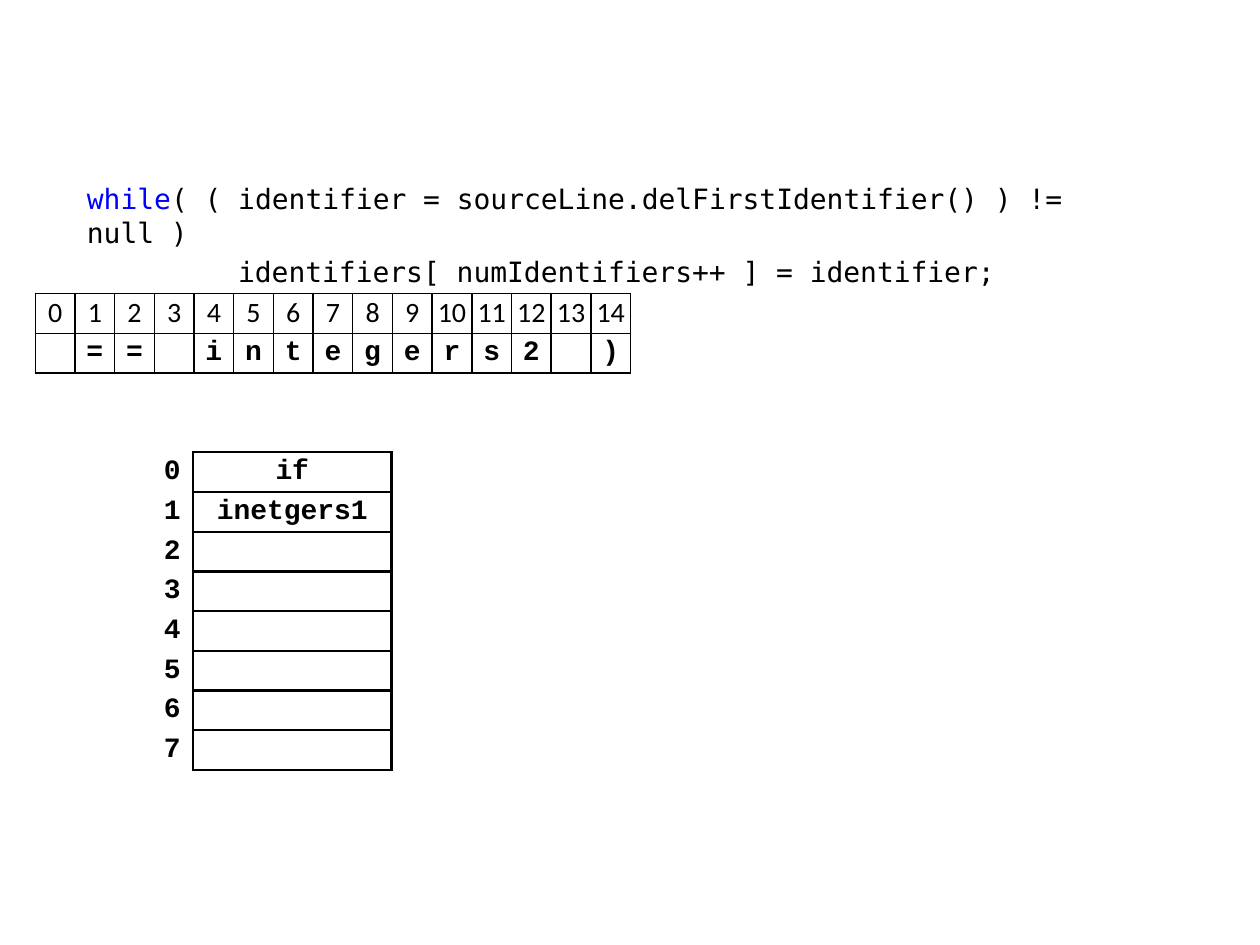
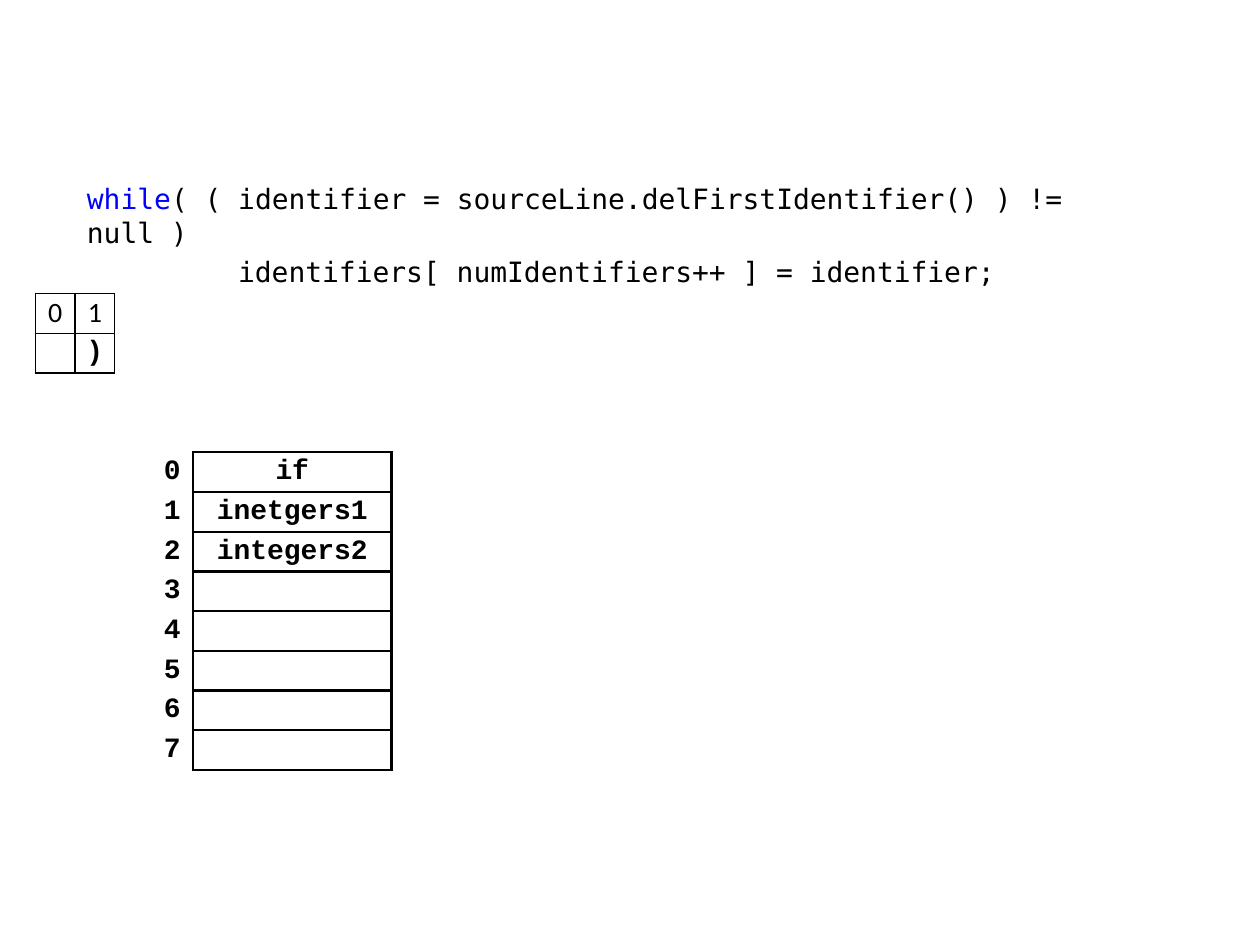
import pptx
import pptx.util
import pptx.dml.color
import pptx.enum.text
import pptx.oxml
import lxml.etree

Inches = pptx.util.Inches
Pt = pptx.util.Pt
RGBColor = pptx.dml.color.RGBColor
Align = pptx.enum.text.PP_ALIGN
Anchor = pptx.enum.text.MSO_ANCHOR

# Shared colours, fonts and grid
BLACK = RGBColor(0x00, 0x00, 0x00)
WHITE = RGBColor(0xFF, 0xFF, 0xFF)
KEYWORD = RGBColor(0x00, 0x00, 0xFF)
CODE_FORMAT = {"name": "DejaVu Sans Mono", "size": Pt(16), "bold": False}
INDEX_FORMAT = {"name": "Calibri", "size": Pt(16), "bold": False}
VALUE_FORMAT = {"name": "Courier New", "size": Pt(16), "bold": True}
UNIT = Inches(0.63) // 2  # side of one character cell
NO_STYLE = "{2D5ABB26-0587-4C30-8999-92F81FD0307C}"
DRAWING = "{http://schemas.openxmlformats.org/drawingml/2006/main}"

CODE_BOX = (Inches(0.59), Inches(1.39), Inches(8.82), Inches(0.63))
LINE_ORIGIN = (Inches(0.28), Inches(2.33))
LIST_ORIGIN = (Inches(1.06), Inches(3.59))
LIST_ROWS = 8

CODE_LINES = [
    (0, [("while", KEYWORD),
         ("( ( identifier = sourceLine.delFirstIdentifier() ) != null )", BLACK)]),
    (Inches(1.2), [("identifiers[ numIdentifiers++ ] = identifier;", BLACK)]),
]

# Remaining source characters and identifiers found so far, per slide
STEPS = [
    (" ==" + " integers2" + " )", ["if", "inetgers1"]),
    (" )", ["if", "inetgers1", "integers2"]),
]


def add_run(paragraph, text, formats, color=BLACK):
    run = paragraph.add_run()
    run.text = text
    for name, value in formats.items():
        setattr(run.font, name, value)
    run.font.color.rgb = color


def set_borders(cell, sides, width):
    """Draw black lines on the given sides (L, R, T, B, in that order)."""
    properties = cell._tc.get_or_add_tcPr()
    for side in sides:
        line = lxml.etree.SubElement(properties, DRAWING + "ln" + side, w=str(Pt(width)))
        fill = lxml.etree.SubElement(line, DRAWING + "solidFill")
        lxml.etree.SubElement(fill, DRAWING + "srgbClr", val=str(BLACK))


def fill_cell(cell, text, formats, align, side_margin, sides, width):
    cell_format = {"margin_left": side_margin, "margin_right": side_margin,
                   "margin_top": 0, "margin_bottom": 0,
                   "vertical_anchor": Anchor.MIDDLE}
    for name, value in cell_format.items():
        setattr(cell, name, value)
    set_borders(cell, sides, width)
    cell.fill.solid()
    cell.fill.fore_color.rgb = WHITE
    paragraph = cell.text_frame.paragraphs[0]
    paragraph.alignment = align
    if text.strip():
        add_run(paragraph, text, formats)
    else:
        paragraph.font.size = formats["size"]


def add_plain_table(slide, origin, row_count, widths):
    frame = slide.shapes.add_table(row_count, len(widths), *origin,
                                   sum(widths), row_count * UNIT)
    table = frame.table
    table.first_row = table.horz_banding = False
    table._tbl.tblPr.find(DRAWING + "tableStyleId").text = NO_STYLE
    for column, width in zip(table.columns, widths):
        column.width = width
    for row in table.rows:
        row.height = UNIT
    return table


def add_code(slide, box):
    """Code statement in the body placeholder."""
    body = slide.placeholders[1]
    body.left, body.top, body.width, body.height = box
    frame = body.text_frame
    frame_format = {"word_wrap": True, "vertical_anchor": Anchor.TOP,
                    "auto_size": pptx.enum.text.MSO_AUTO_SIZE.NONE}
    for name, value in frame_format.items():
        setattr(frame, name, value)
    for number, (indent, runs) in enumerate(CODE_LINES):
        paragraph = frame.add_paragraph() if number else frame.paragraphs[0]
        paragraph.space_before = Pt(3.2)
        properties = paragraph._p.get_or_add_pPr()
        properties.set("marL", str(indent))
        properties.set("indent", "0")
        lxml.etree.SubElement(properties, DRAWING + "buNone")
        for text, color in runs:
            add_run(paragraph, text, CODE_FORMAT, color)


def add_source_line(slide, origin, characters):
    """One column per character, with its index above."""
    table = add_plain_table(slide, origin, 2, [UNIT] * len(characters))
    for index, character in enumerate(characters):
        for row, (text, formats) in enumerate([(str(index), INDEX_FORMAT),
                                               (character, VALUE_FORMAT)]):
            fill_cell(table.cell(row, index), text, formats,
                      Align.CENTER, 0, "LRTB", 1)


def add_identifier_list(slide, origin, identifiers):
    """Numbered slots, filled from the top."""
    table = add_plain_table(slide, origin, LIST_ROWS, [UNIT * 3 // 2, UNIT * 5])
    for row in range(LIST_ROWS):
        identifier = identifiers[row] if row < len(identifiers) else ""
        fill_cell(table.cell(row, 0), str(row), VALUE_FORMAT,
                  Align.RIGHT, Inches(0.1), "R", 1.5)
        fill_cell(table.cell(row, 1), identifier, VALUE_FORMAT,
                  Align.CENTER, Inches(0.1), "LRTB", 1.5)


def add_step_slide(presentation, characters, identifiers):
    slide = presentation.slides.add_slide(presentation.slide_layouts[1])
    title = slide.shapes.title
    title._element.getparent().remove(title._element)
    add_code(slide, CODE_BOX)
    add_source_line(slide, LINE_ORIGIN, characters)
    add_identifier_list(slide, LIST_ORIGIN, identifiers)


presentation = pptx.Presentation()
presentation.slide_width = Inches(10)
presentation.slide_height = Inches(7.5)
for characters, identifiers in STEPS:
    add_step_slide(presentation, characters, identifiers)
presentation.save("out.pptx")
